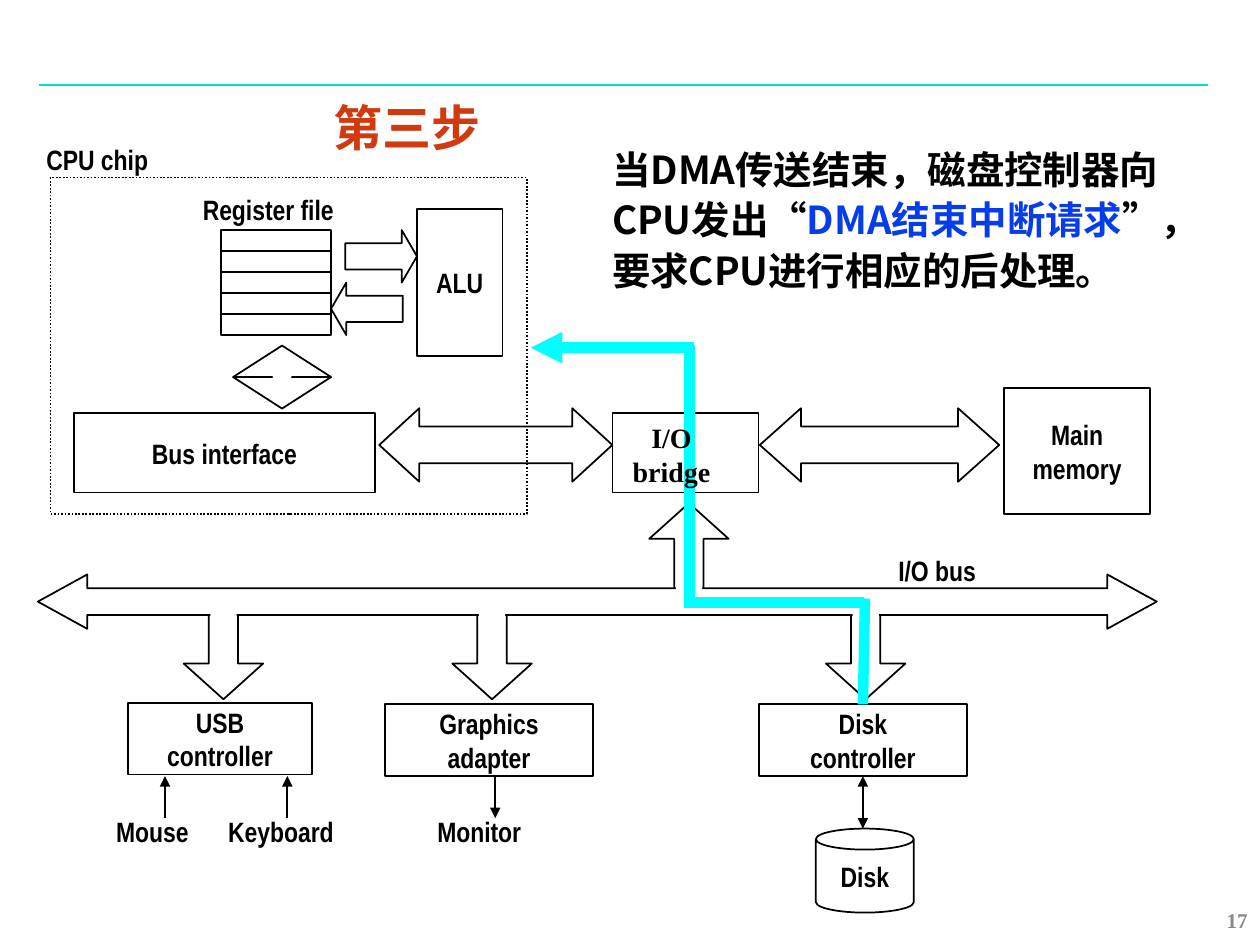
from dataclasses import dataclass
from lxml.etree import SubElement
from pptx import Presentation
from pptx.dml.color import RGBColor
from pptx.enum.dml import MSO_LINE as Dash
from pptx.enum.shapes import MSO_CONNECTOR as Link, MSO_SHAPE as Kind
from pptx.enum.text import MSO_ANCHOR as Anchor, PP_ALIGN as Align
from pptx.oxml.ns import qn
from pptx.util import Pt

HUES = {"black": "000000", "white": "FFFFFF", "cyan": "00FFFF", "teal": "00DFCA",
        "red": "D1390F", "blue": "063DE8", "gray": "898989"}
CJK, SERIF = "Noto Sans CJK SC", "Times New Roman"
LABEL = {"name": "Arial Narrow", "size": Pt(16), "bold": True}
NOTE = {"name": CJK, "size": Pt(22), "bold": True}
HEAD = {"name": CJK, "size": Pt(28), "bold": True}
BRIDGE = {"name": SERIF, "size": Pt(16), "bold": True}
PAGE = {"name": SERIF, "size": Pt(12), "bold": True}


@dataclass
class Node:
    kind: Kind
    x: float
    y: float
    w: float
    h: float
    text: str = ""
    adj: tuple = ()
    fill: str = ""
    line: str = "black"
    dash: Dash | None = None


@dataclass
class Label:
    text: str
    x: float
    y: float
    w: float
    h: float = 26.6
    align: Align = Align.CENTER
    style: dict | None = None
    hue: str = "black"
    wrap: bool = False
    anchor: Anchor = Anchor.MIDDLE


@dataclass
class Wire:
    x1: float
    y1: float
    x2: float
    y2: float
    hue: str = "black"
    width: float = 1
    ends: tuple = ()


def rgb(hue: str) -> RGBColor:
    return RGBColor.from_string(HUES[hue])


def add_run(para, text: str, style: dict, hue: str) -> None:
    run = para.add_run()
    run.text = text
    for key, val in style.items():
        setattr(run.font, key, val)
    run.font.color.rgb = rgb(hue)
    if style["name"] == CJK:
        SubElement(run.font._element, qn("a:ea")).set("typeface", CJK)


def write(frame, text: str, style: dict, hue: str, align: Align) -> None:
    """Put each line of the text in a paragraph of its own."""
    for i, part in enumerate(text.split("\n")):
        para = frame.add_paragraph() if i else frame.paragraphs[0]
        para.alignment = align
        add_run(para, part, style, hue)


def draw_node(node: Node):
    shape = slide.shapes.add_shape(node.kind, Pt(node.x), Pt(node.y), Pt(node.w), Pt(node.h))
    shape.shadow.inherit = False
    for i, val in enumerate(node.adj):
        shape.adjustments[i] = val
    if node.fill:
        shape.fill.solid()
        shape.fill.fore_color.rgb = rgb(node.fill)
    else:
        shape.fill.background()
    if node.line:
        shape.line.color.rgb = rgb(node.line)
        shape.line.width = Pt(1)
        if node.dash:
            shape.line.dash_style = node.dash
    else:
        shape.line.fill.background()
    if node.text:
        frame = shape.text_frame
        frame.word_wrap = False
        frame.vertical_anchor = Anchor.MIDDLE
        write(frame, node.text, LABEL, "black", Align.CENTER)
    return shape


def draw_label(label: Label):
    box = slide.shapes.add_textbox(Pt(label.x), Pt(label.y), Pt(label.w), Pt(label.h))
    frame = box.text_frame
    frame.word_wrap = label.wrap
    frame.vertical_anchor = label.anchor
    if label.text:
        write(frame, label.text, label.style or LABEL, label.hue, label.align)
    return frame


def draw_wire(wire: Wire):
    link = slide.shapes.add_connector(
        Link.STRAIGHT, Pt(wire.x1), Pt(wire.y1), Pt(wire.x2), Pt(wire.y2))
    link.line.color.rgb = rgb(wire.hue)
    link.line.width = Pt(wire.width)
    ln = link.line._get_or_add_ln()
    for end in wire.ends:
        SubElement(ln, qn(f"a:{end}")).set("type", "triangle")
    SubElement(link._element.spPr, qn("a:effectLst"))
    return link


deck = Presentation()
deck.slide_width, deck.slide_height = Pt(720), Pt(540)
slide = deck.slides.add_slide(deck.slide_layouts[5])

draw_wire(Wire(22.3, 48.4, 690.5, 48.4, "teal"))
title = slide.shapes.title
title.left, title.top, title.width, title.height = Pt(183.6), Pt(56.9), Pt(117.4), Pt(36.7)
title.text_frame.vertical_anchor = Anchor.MIDDLE
write(title.text_frame, "第三步", HEAD, "red", Align.LEFT)
title.text_frame.paragraphs[0].line_spacing = 0.87

# Processor, bridge and memory
RECT, BOTH = Kind.RECTANGLE, Kind.LEFT_RIGHT_ARROW
for node in (
    Node(RECT, 573.8, 221.8, 83.5, 72, "Main\nmemory"),
    Node(BOTH, 434.2, 233.3, 136.8, 42, adj=(0.5, 0.56)),
    Node(RECT, 350, 236, 83.5, 45.5),
    Node(BOTH, 216.7, 233.3, 133.2, 42, adj=(0.5, 0.545)),
    *(Node(RECT, 126.5, 131.5 + 12 * i, 62.6, 12) for i in range(5)),
    Node(Kind.RIGHT_ARROW, 197.3, 131.5, 41, 30, adj=(0.5, 0.29)),
    Node(Kind.LEFT_ARROW, 189.2, 161.5, 41, 30, adj=(0.5, 0.29)),
    Node(RECT, 238.2, 119.5, 49, 84, "ALU"),
    Node(Kind.UP_DOWN_ARROW, 133.2, 197.5, 56, 36, adj=(0.5, 0.2)),
    Node(RECT, 28.8, 101.5, 272.2, 192.2, dash=Dash.ROUND_DOT),
    Node(RECT, 42.3, 236, 172, 45.5, "Bus interface"),
):
    draw_node(node)

# I/O bus, its branches and the devices
STEM = {"w": 45.4, "h": 54, "adj": (0.37, 0.45)}
drops = (105, 258.5, 472)
draw_node(Node(Kind.UP_ARROW, 371, 287.5, **STEM))
for x in drops:
    draw_node(Node(Kind.DOWN_ARROW, x, 345.6, **STEM))
draw_node(Node(BOTH, 21.6, 328.3, 639.4, 31, adj=(0.49, 0.91), fill="white"))
for x, y in (*((x + 15.2, 341.5) for x in drops), (386.2, 335.5)):
    draw_node(Node(RECT, x, y, 15, 12, fill="white", line=""))

draw_node(Node(RECT, 73.2, 401.6, 105.1, 41, "USB\ncontroller"))
draw_node(Node(RECT, 220, 402.5, 118.8, 41, "Graphics\nadapter"))
disk = draw_node(Node(RECT, 433.7, 402.5, 118.8, 41, "Disk\ncontroller"))
draw_node(Node(Kind.CAN, 466.2, 473.5, 56, 48, "Disk", (0.25,)))

for wire in (Wire(94.3, 467.5, 94.3, 443.5, ends=("tailEnd",)),
             Wire(164.2, 467.5, 164.2, 443.5, ends=("tailEnd",)),
             Wire(283, 443.5, 283, 467.5, ends=("tailEnd",))):
    draw_wire(wire)
mid = 433.7 + 118.8 / 2
draw_wire(Wire(mid, 443.5, mid, 473.5, ends=("headEnd", "tailEnd"))).begin_connect(disk, 2)

# Interrupt route from the disk controller to the processor
for wire in (Wire(396.5, 198.7, 303.3, 198.7, "cyan", 6, ("tailEnd",)),
             Wire(394, 197.3, 394, 342, "cyan", 6),
             Wire(391, 344.2, 494, 344.2, "cyan", 6)):
    draw_wire(wire)
draw_wire(Wire(494.3, 342, mid, 402.5, "cyan", 6)).end_connect(disk, 0)

for label in (
    Label("Register file", 108.7, 106.6, 89.3),
    Label("CPU chip", 19.4, 77.8, 72.7, align=Align.LEFT),
    Label("Mouse", 59, 461.5, 56.2),
    Label("Keyboard", 123.1, 461.5, 74.9),
    Label("Monitor", 242.6, 461.5, 62.6),
    Label("I/O bus", 506.2, 312.5, 59, align=Align.LEFT),
    Label("I/O bridge", 347, 236.9, 73.4, 46, style=BRIDGE, wrap=True, anchor=Anchor.TOP),
    Label("17", 558, 511.2, 162, 28.8, Align.RIGHT, PAGE, "gray", True),
):
    draw_label(label)

note = draw_label(Label("", 342.7, 77, 370.8, 95, wrap=True, anchor=Anchor.TOP)).paragraphs[0]
note.line_spacing = 1.1
for text, hue in (("当DMA传送结束，磁盘控制器向CPU发出“", "black"),
                  ("DMA结束中断请求", "blue"),
                  ("”，要求CPU进行相应的后处理。", "black")):
    add_run(note, text, NOTE, hue)

deck.save("out.pptx")
